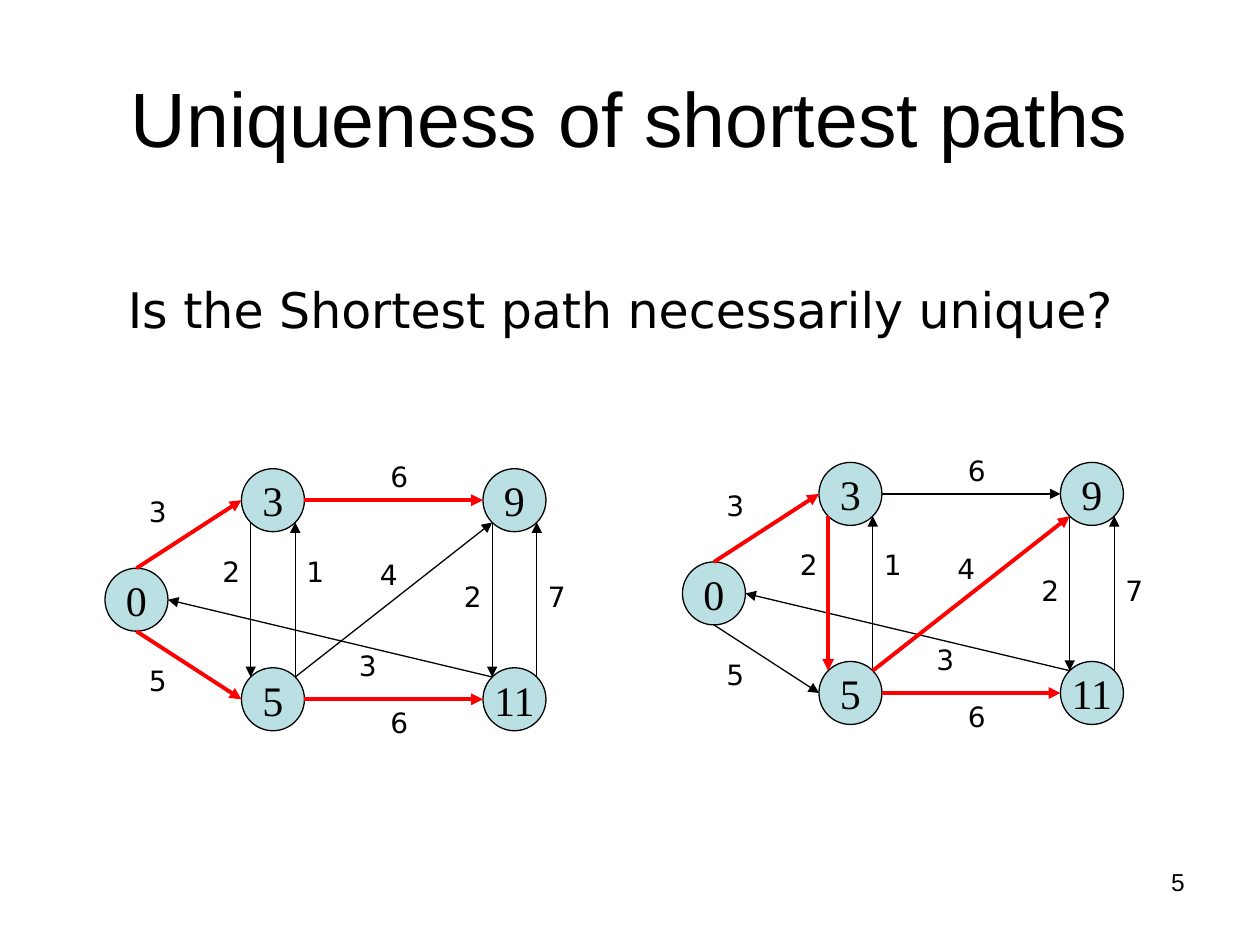
from math import cos, pi, sin
from pptx import Presentation
from pptx.dml.color import RGBColor
from pptx.enum.shapes import MSO_CONNECTOR, MSO_SHAPE
from pptx.enum.text import MSO_ANCHOR, MSO_AUTO_SIZE, PP_ALIGN
from pptx.oxml.ns import qn
from pptx.util import Inches, Pt
from lxml.etree import SubElement


def paint(fill, tone):
    fill.solid()
    fill.fore_color.rgb = RGBColor.from_string(tone)


def write(shape, words, face, size, form, para):
    frame = shape.text_frame
    frame.text = words
    line = frame.paragraphs[0]
    font = line.runs[0].font
    font.name, font.size = face, Pt(size)
    paint(font.fill, "000000")
    for item, values in ((frame, form), (line, para)):
        for key, value in values.items():
            setattr(item, key, value)


deck = Presentation()
deck.slide_width, deck.slide_height = Inches(10), Inches(7.5)
slide = deck.slides.add_slide(deck.slide_layouts[5])
shapes = slide.shapes
col = deck.slide_width / 120
row = deck.slide_height / 7.5

title = shapes.title
place = {"left": 6 * col, "top": 0.3 * row, "width": 108 * col, "height": 1.25 * row}
for key, value in place.items():
    setattr(title, key, int(value))
mid = {"vertical_anchor": MSO_ANCHOR.MIDDLE, "auto_size": MSO_AUTO_SIZE.NONE}
hub = {"vertical_anchor": MSO_ANCHOR.MIDDLE, "word_wrap": False}
wrap = {"word_wrap": True}
center = {"alignment": PP_ALIGN.CENTER}
write(title, "Uniqueness of shortest paths", "Arial", 44, mid, center)

notes = [
    ("5", 86, 6.83, 28, 0.52, "Arial", 14, {"alignment": PP_ALIGN.RIGHT}),
    ("Is the Shortest path necessarily unique?", 11, 2.17, 101, 0.57,
     "DejaVu Sans", 28, {"space_before": Pt(17.5)}),
]

nodes = {"3": (26, 3.97), "11": (49, 5.55), "9": (49, 3.97),
         "5": (26, 5.55), "0": (13, 4.76)}
top, left, low_left, base, low_right, right, up_right, up_left = 0, 2, 3, 4, 5, 6, 7, 1
edges = [
    ("0", base, "5", left), ("0", top, "3", left), ("3", right, "9", left),
    ("9", low_left, "11", up_left), ("11", up_right, "9", low_right),
    ("5", right, "11", left), ("11", up_left, "0", right),
    ("3", low_left, "5", up_left), ("5", up_right, "3", low_right),
    ("5", up_right, "9", low_left),
]
costs = [
    ("3", 13, 3.88), ("6", 36, 3.6), ("5", 13, 5.22), ("2", 20, 4.35),
    ("1", 28, 4.35), ("4", 35, 4.38), ("7", 51, 4.55), ("2", 43, 4.55),
    ("6", 36, 5.55), ("3", 33, 5.1),
]
graphs = [
    (0, 0, {("0", "5"), ("0", "3"), ("3", "9"), ("5", "11")}),
    (55, -0.05, {("0", "3"), ("3", "5"), ("5", "9"), ("5", "11")}),
]
size = 6 * col

for across, down, tree in graphs:
    spots = {name: ((x + across) * col, (y + down) * row)
             for name, (x, y) in nodes.items()}
    for name, (x, y) in spots.items():
        node = shapes.add_shape(MSO_SHAPE.OVAL, int(x - size / 2), int(y - size / 2),
                                int(size), int(size))
        node.shadow.inherit = False
        paint(node.fill, "BBE0E3")
        paint(node.line.fill, "000000")
        node.line.width = Pt(0.75)
        write(node, name, "Times New Roman", 24, hub, center)

    for start, out, end, into in edges:
        ends = []
        for name, site in ((start, out), (end, into)):
            turn = pi / 2 + site * pi / 4
            x, y = spots[name]
            ends += [int(x + size / 2 * cos(turn)), int(y - size / 2 * sin(turn))]
        edge = shapes.add_connector(MSO_CONNECTOR.STRAIGHT, *ends)
        tone, width = ("FF0000", 2.25) if (start, end) in tree else ("000000", 0.75)
        paint(edge.line.fill, tone)
        edge.line.width = Pt(width)
        SubElement(edge.line._get_or_add_ln(), qn("a:tailEnd"), type="triangle")
        SubElement(edge._element.spPr, qn("a:effectLst"))

    notes += [(cost, x + across, y + down, 4, 0.37, "DejaVu Sans", 16,
               {"space_before": Pt(10)}) for cost, x, y in costs]

for words, x, y, wide, high, face, points, para in notes:
    box = shapes.add_textbox(int(x * col), int(y * row), int(wide * col), int(high * row))
    write(box, words, face, points, wrap, para)

deck.save("out.pptx")
